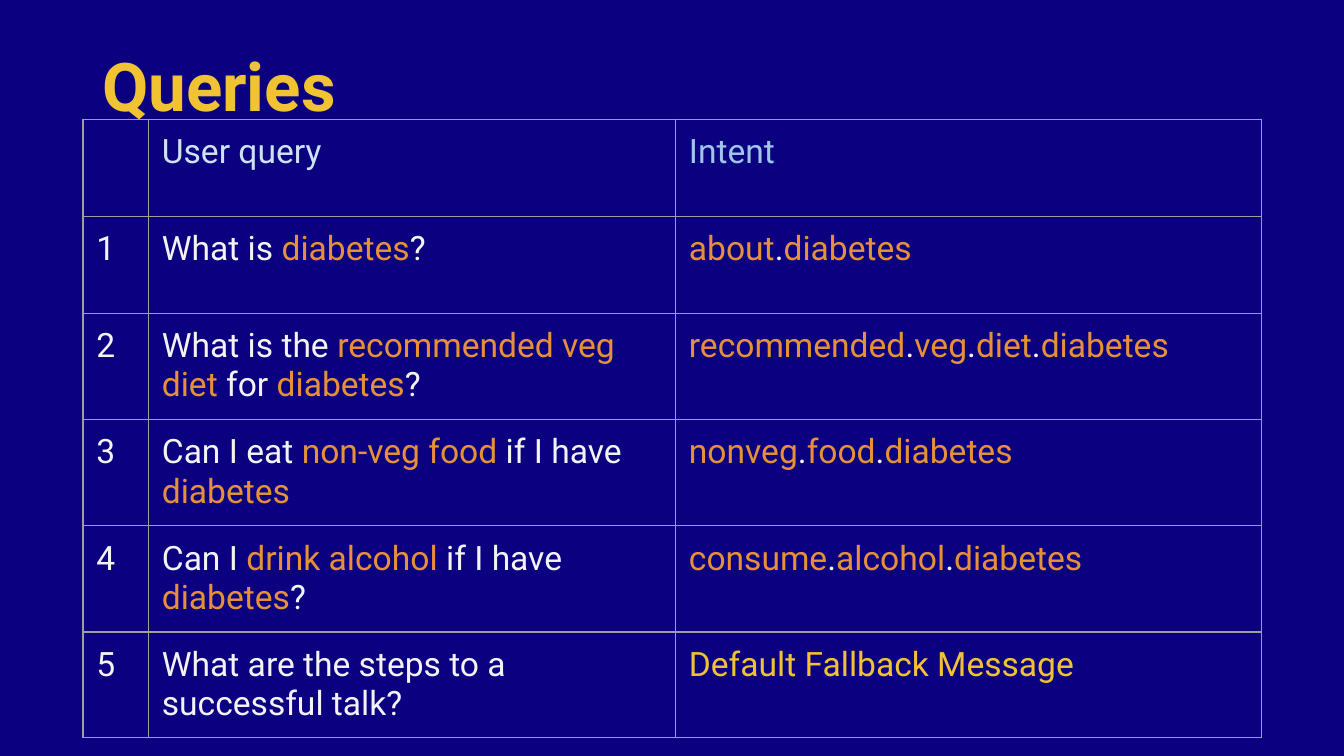
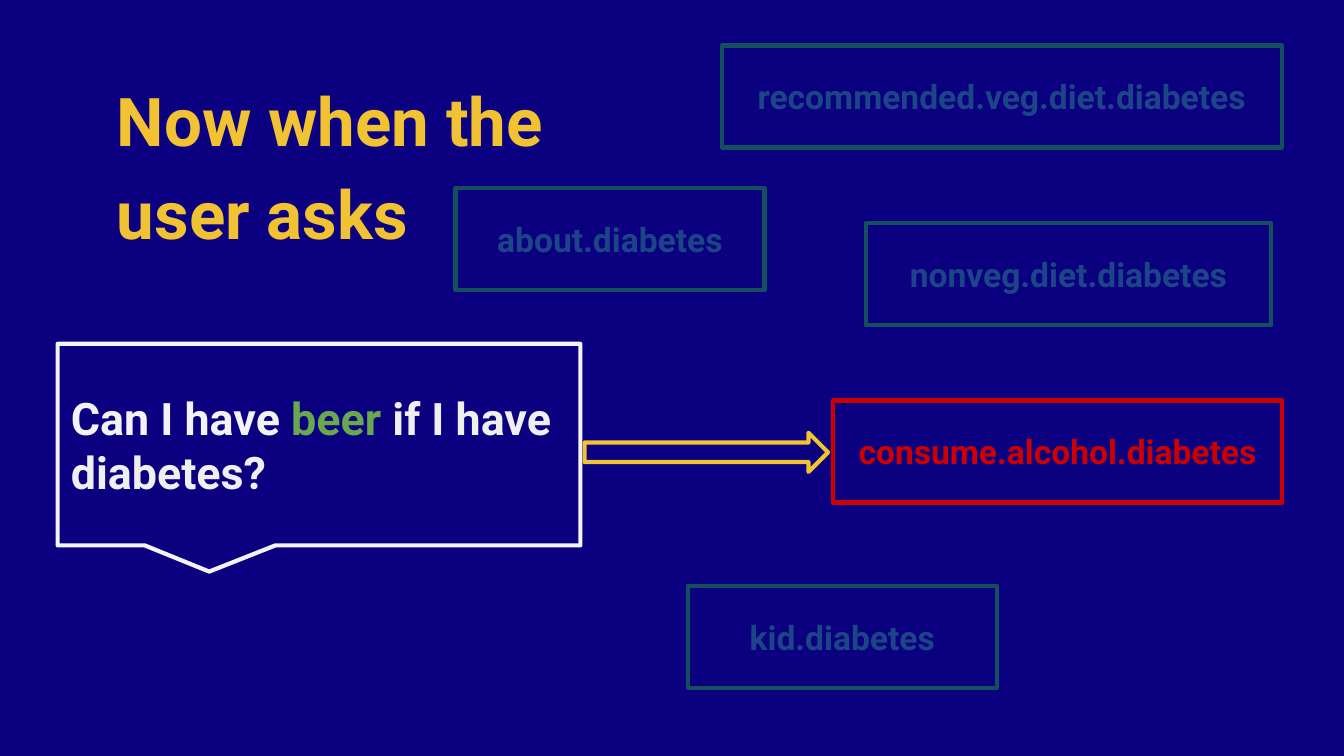
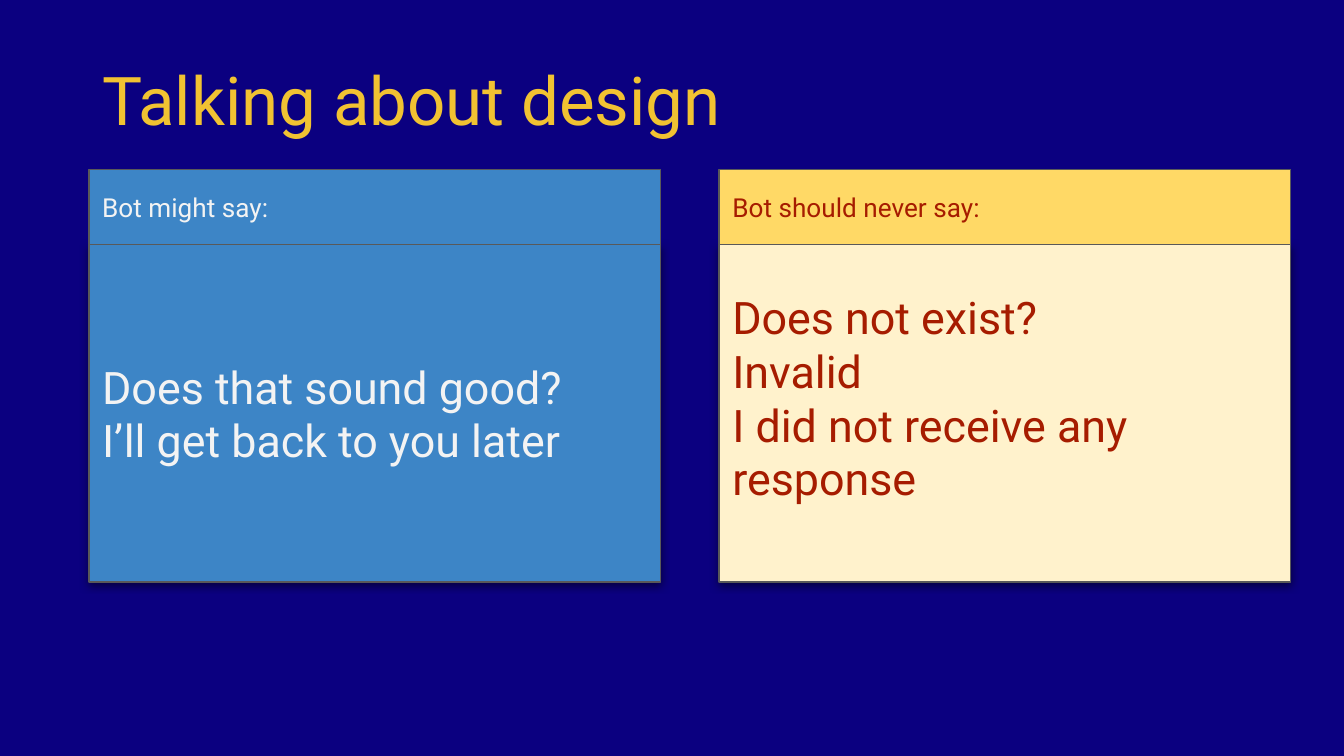
from typing import NamedTuple, Optional

from lxml import etree
from pptx import Presentation
from pptx.dml.color import RGBColor
from pptx.enum.shapes import MSO_SHAPE
from pptx.enum.text import MSO_ANCHOR, MSO_AUTO_SIZE, PP_ALIGN
from pptx.oxml import parse_xml
from pptx.oxml.ns import nsdecls, qn
from pptx.util import Cm, Pt

RECT = MSO_SHAPE.RECTANGLE
CALLOUT = MSO_SHAPE.RECTANGULAR_CALLOUT
ARROW = MSO_SHAPE.RIGHT_ARROW
TOP, MIDDLE = MSO_ANCHOR.TOP, MSO_ANCHOR.MIDDLE
LEFT, CENTER = PP_ALIGN.LEFT, PP_ALIGN.CENTER
FIXED = MSO_AUTO_SIZE.NONE

NAVY = RGBColor(0x0B, 0x00, 0x80)
GOLD = RGBColor(0xF1, 0xC2, 0x32)
SNOW = RGBColor(0xF3, 0xF3, 0xF3)
MIST = RGBColor(0xEF, 0xEF, 0xEF)
ORANGE = RGBColor(0xE6, 0x91, 0x38)
PALE = RGBColor(0xCF, 0xE2, 0xF3)
SKY = RGBColor(0x9F, 0xC5, 0xE8)
GREEN = RGBColor(0x6A, 0xA8, 0x4F)
TEAL = RGBColor(0x13, 0x4F, 0x5C)
INDIGO = RGBColor(0x1C, 0x45, 0x87)
RED = RGBColor(0xCC, 0x00, 0x00)
BLUE = RGBColor(0x3D, 0x85, 0xC6)
CREAM = RGBColor(0xFF, 0xF2, 0xCC)
YELLOW = RGBColor(0xFF, 0xD9, 0x66)
RUST = RGBColor(0xA6, 0x1C, 0x00)
GRAY = RGBColor(0x59, 0x59, 0x59)
RULE = RGBColor(0x9E, 0x9E, 0x9E)

FACE = "Roboto"
INSET = Cm(0.25)
MARK = "*"


class Box(NamedTuple):
    left: float
    top: float
    width: float
    height: float

    def cm(self) -> tuple:
        return tuple(Cm(side) for side in self)


class Intent(NamedTuple):
    name: str
    left: float
    top: float
    width: float
    edge: RGBColor = TEAL
    ink: RGBColor = INDIGO


class Card(NamedTuple):
    head: str
    body: str
    top_fill: RGBColor
    fill: RGBColor
    ink: RGBColor
    foot: float


class Query(NamedTuple):
    ask: str
    intent: str


QUERIES = [
    Query("What is *diabetes*?", "*about*.*diabetes*"),
    Query("What is the *recommended veg diet* for *diabetes*?",
          "*recommended*.*veg*.*diet*.*diabetes*"),
    Query("Can I eat *non-veg food* if I have *diabetes*", "*nonveg*.*food*.*diabetes*"),
    Query("Can I *drink alcohol* if I have *diabetes*?", "*consume*.*alcohol*.*diabetes*"),
    Query("What are the steps to a successful talk?", "Default Fallback Message"),
]
COLS = (1.24, 9.96, 11.07)
ROWS = (1.83, 1.83, 2.01, 2.01, 2.01, 1.83)

INTENTS = [
    Intent("about.diabetes", 8.61, 3.56, 5.84),
    Intent("recommended.veg.diet.diabetes", 13.64, 0.86, 10.59),
    Intent("nonveg.diet.diabetes", 16.36, 4.22, 7.67),
    Intent("consume.alcohol.diabetes", 15.75, 7.57, 8.48, RED, RED),
    Intent("kid.diabetes", 13, 11.07, 5.84),
]

CARDS = [
    Card("Bot might say:", "Does that sound good?\nI’ll get back to you later",
         BLUE, BLUE, SNOW, 0.25),
    Card("Bot should never say:", "Does not exist?\nInvalid\nI did not receive any response",
         YELLOW, CREAM, RUST, 0.85),
]


def write(frame, text: str, *, size: float, tints: tuple, bold: bool = False,
          align=LEFT, indent: float = 0, lead: float = 1) -> None:
    for row, line in enumerate(text.split("\n")):
        para = frame.add_paragraph() if row else frame.paragraphs[0]
        props = para._p.get_or_add_pPr()
        props.set("marL", str(Cm(indent)))
        props.set("indent", "0")
        para.alignment = align
        para.line_spacing = lead
        for spot, part in enumerate(line.split(MARK)):
            if part:
                run = para.add_run()
                run.text = part
                font = run.font
                font.name, font.size, font.bold = FACE, Pt(size), bold
                font.color.rgb = tints[spot % len(tints)]


def pad(frame, anchor, foot: float = 0.25) -> None:
    frame.word_wrap = True
    frame.auto_size = FIXED
    frame.vertical_anchor = anchor
    frame.margin_left = frame.margin_right = frame.margin_top = INSET
    frame.margin_bottom = Cm(foot)


def start(deck, title: str, box: Box, **style):
    slide = deck.slides.add_slide(deck.slide_layouts[5])
    head = slide.shapes.title
    head.left, head.top, head.width, head.height = box.cm()
    pad(head.text_frame, TOP)
    write(head.text_frame, title, size=36, tints=(GOLD,), **style)
    return slide


def draw(slide, kind, box: Box, edge: RGBColor, *, weight: float = 2.25,
         fill: Optional[RGBColor] = None, foot: float = 0.25):
    shape = slide.shapes.add_shape(kind, *box.cm())
    shape.shadow.inherit = False
    if fill is None:
        shape.fill.background()
    else:
        shape.fill.solid()
        shape.fill.fore_color.rgb = fill
    shape.line.color.rgb = edge
    shape.line.width = Pt(weight)
    etree.SubElement(shape.line._ln, qn("a:round"))
    pad(shape.text_frame, MIDDLE, foot)
    return shape


def shade(shape) -> None:
    effects = shape._element.spPr.find(qn("a:effectLst"))
    effects.append(parse_xml(
        f'<a:outerShdw {nsdecls("a")} blurRad="{Pt(4.5)}" dist="{Pt(1.5)}" '
        'dir="5400000" algn="bl" rotWithShape="0"><a:srgbClr val="000000">'
        '<a:alpha val="50000"/></a:srgbClr></a:outerShdw>'))


def frame_cell(cell) -> None:
    cell.margin_left = cell.margin_right = INSET
    cell.margin_top = cell.margin_bottom = INSET
    cell.fill.background()
    props = cell._tc.get_or_add_tcPr()
    for spot, side in enumerate("LRTB"):
        props.insert(spot, parse_xml(
            f'<a:ln{side} {nsdecls("a")} w="{Pt(0.75)}"><a:solidFill>'
            f'<a:srgbClr val="{RULE}"/></a:solidFill></a:ln{side}>'))


def list_queries(deck) -> None:
    slide = start(deck, "Queries", Box(0.41, 0.36, 24.33, 3.48),
                  bold=True, indent=1.27, lead=1.15)
    box = Box(1.57, 2.26, sum(COLS), sum(ROWS))
    table = slide.shapes.add_table(len(ROWS), len(COLS), *box.cm()).table
    table.first_row = table.horz_banding = False
    for col, width in zip(table.columns, COLS):
        col.width = Cm(width)
    for row, height in zip(table.rows, ROWS):
        row.height = Cm(height)
    mixed = (SNOW, ORANGE)
    grid = [[("", mixed), ("User query", (PALE,)), ("Intent", (SKY,))]]
    for number, query in enumerate(QUERIES, 1):
        tints = mixed if MARK in query.intent else (GOLD,)
        grid.append([(str(number), mixed), (query.ask, mixed), (query.intent, tints)])
    for row, items in enumerate(grid):
        for col, (text, tints) in enumerate(items):
            cell = table.cell(row, col)
            frame_cell(cell)
            write(cell.text_frame, text, size=18, tints=tints)


def match_intent(deck) -> None:
    slide = start(deck, "Now when the user asks", Box(0.69, 1.02, 9.88, 3.66),
                  bold=True, indent=1.27, lead=1.15)
    bubble = draw(slide, CALLOUT, Box(1.09, 6.5, 9.88, 3.81), SNOW)
    bubble.adjustments[0] = -0.21
    bubble.adjustments[1] = 0.63
    write(bubble.text_frame, "Can I have *beer *if I have diabetes?",
          size=24, tints=(SNOW, GREEN, MIST), bold=True)
    for intent in INTENTS:
        box = Box(intent.left, intent.top, intent.width, 1.93)
        shape = draw(slide, RECT, box, intent.edge)
        write(shape.text_frame, intent.name, size=18, tints=(intent.ink,),
              bold=True, align=CENTER)
    draw(slide, ARROW, Box(11.05, 8.18, 4.6, 0.74), GOLD)


def show_design(deck) -> None:
    slide = start(deck, "Talking about design", Box(1.68, 0.86, 23.67, 1.6))
    left, top, width, step = 1.68, 3.2, 10.8, 11.91
    high, deep = 1.42, 6.38
    for spot, card in enumerate(CARDS):
        body = draw(slide, RECT, Box(left + spot * step, top + high, width, deep), GRAY,
                    weight=0.75, fill=card.fill, foot=card.foot)
        shade(body)
        write(body.text_frame, card.body, size=24, tints=(card.ink,))
    for spot, card in enumerate(CARDS):
        head = draw(slide, RECT, Box(left + spot * step, top, width, high), GRAY,
                    weight=0.75, fill=card.top_fill)
        write(head.text_frame, card.head, size=14, tints=(card.ink,))


def main() -> None:
    deck = Presentation()
    deck.slide_width, deck.slide_height = Cm(25.4), Cm(14.29)
    back = deck.slide_master.background.fill
    back.solid()
    back.fore_color.rgb = NAVY
    list_queries(deck)
    match_intent(deck)
    show_design(deck)
    deck.save("out.pptx")


if __name__ == "__main__":
    main()
